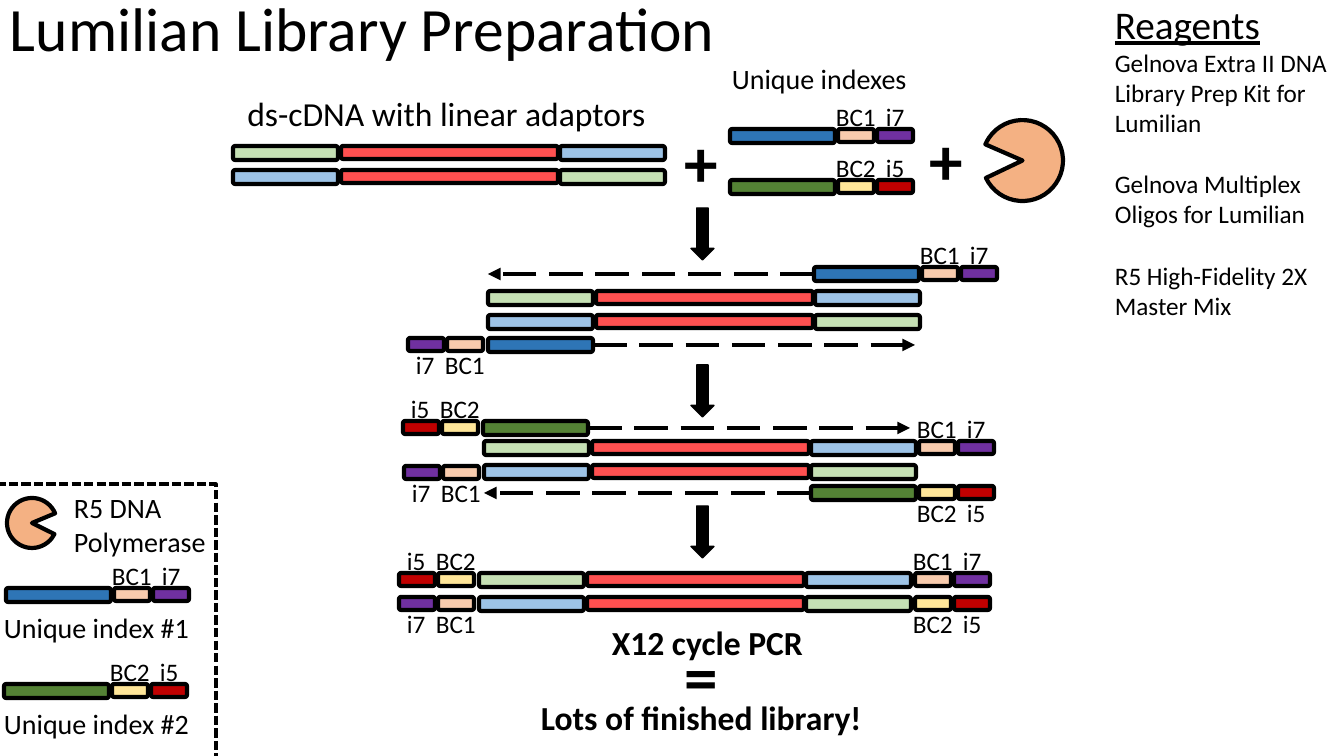
from pptx import Presentation
from pptx.dml.color import RGBColor
from pptx.enum.dml import MSO_LINE_DASH_STYLE as Dash
from pptx.enum.shapes import MSO_CONNECTOR as Link, MSO_SHAPE as Shape
from pptx.enum.text import MSO_AUTO_SIZE as Fit, PP_ALIGN as Align
from pptx.oxml.ns import qn
from pptx.util import Pt
from lxml.etree import SubElement

# Content: lengths in px, 1344 to the slide width
SCALE = 12192000 / 1344
FONT = "Calibri"
COLORS = {
    "black": "000000", "insert": "FF5050", "mint": "C5E0B4", "sky": "9DC3E6",
    "blue": "2E75B6", "peach": "F8CBAD", "purple": "7030A0",
    "green": "548235", "cream": "FFE699", "red": "C00000", "enzyme": "F4B183",
}

# left, top of each double strand
DUPLEXES = [(233, 146), (488, 291), (484, 441), (479, 573)]

# name, fill of primer, barcode and index
KINDS = {
    1: ("BC1", "i7", "blue", "peach", "purple"),
    2: ("BC2", "i5", "green", "cream", "red"),
}

# primer left, top, kind, flipped, labels below, primer drawn, new strand end
TAGS = [
    (730, 129, 1, False, False, True, None),
    (730, 180, 2, False, False, True, None),
    (814, 267, 1, False, False, True, 488),
    (488, 338, 1, True, True, True, 915),
    (483, 421, 2, True, False, True, 910),
    (811, 486, 2, False, True, True, 484),
    (484, 466, 1, True, True, False, None),
    (811, 441, 1, False, False, False, None),
    (479, 573, 2, True, False, False, None),
    (807, 573, 1, False, False, False, None),
    (479, 597, 1, True, True, False, None),
    (807, 597, 2, False, True, False, None),
    (6, 588, 1, False, False, True, None),
    (4, 684, 2, False, False, True, None),
]

# left, top, size, rotation
ENZYMES = [(982, 120, 81, 244.5), (7, 498, 50, 67.3)]
ARROW_TOPS = [208, 365, 506]

# lines, box, size, bold
NOTES = [
    ("+", (675, 115, 54, 92), 48, True),
    ("+", (920, 113, 54, 92), 48, True),
    ("=", (675, 629, 54, 92), 48, True),
    ("X12 cycle PCR", (602, 617, 213, 50), 24, True),
    ("Lots of finished library!", (531, 692, 345, 50), 24, True),
    ("R5 DNA\nPolymerase", (64, 486, 153, 78), 20, False),
    ("Unique index #1", (-6, 606, 207, 44), 20, False),
    ("Unique index #2", (-6, 702, 207, 44), 20, False),
    ("Unique indexes", (722, 57, 197, 44), 20, False),
]
REAGENTS = [
    "Reagents",
    "Gelnova Extra II DNA Library Prep Kit for Lumilian",
    "Gelnova Multiplex Oligos for Lumilian",
    "R5 High-Fidelity 2X Master Mix",
]

prs = Presentation()
prs.slide_width, prs.slide_height = 12192000, 6858000
slide = prs.slides.add_slide(prs.slide_layouts[6])
shapes = slide.shapes


def emu(*vals):
    return [round(v * SCALE) for v in vals]


def rgb(name):
    return RGBColor.from_string(COLORS[name])


def draw(kind, box, fill=None, width=3):
    shape = shapes.add_shape(kind, *emu(*box))
    shape.shadow.inherit = False
    if fill:
        shape.fill.solid()
        shape.fill.fore_color.rgb = rgb(fill)
    else:
        shape.fill.background()
    shape.line.color.rgb = rgb("black")
    shape.line.width = Pt(width)
    return shape


def bar(x, y, w, h, fill):
    return draw(Shape.ROUNDED_RECTANGLE, (x, y, w, h), fill)


def write(text, box, size, bold=False, wrap=False):
    frame = shapes.add_textbox(*emu(*box)).text_frame
    frame.text = text
    frame.word_wrap = wrap
    frame.auto_size = Fit.NONE if wrap else Fit.SHAPE_TO_FIT_TEXT
    for para in frame.paragraphs:
        for run in para.runs:
            run.font.name = FONT
            run.font.size = Pt(size)
            run.font.bold = bold
            run.font.color.rgb = rgb("black")
    return frame.paragraphs


def strand(primer, flip, end):
    y = primer.top + primer.height // 2
    line = shapes.add_connector(Link.STRAIGHT, primer.left, y, *emu(end), y)
    line.begin_connect(primer, 3 if flip else 1)
    line.line.color.rgb = rgb("black")
    line.line.width = Pt(3)
    line.line.dash_style = Dash.LONG_DASH
    SubElement(line.line._get_or_add_ln(), qn("a:tailEnd"), type="triangle")
    SubElement(line._element.spPr, qn("a:effectLst"))


# Double strands: the lower row swaps the adaptor colours
for x, y in DUPLEXES:
    for row, (left, right) in enumerate([("mint", "sky"), ("sky", "mint")]):
        top = y + 24 * row
        bar(x + 108, top, 217, 13, "insert")
        bar(x, top, 105, 14, left)
        bar(x + 327, top, 105, 14, right)

# Primers with barcode and index
for x, y, kind, flip, below, full, end in TAGS:
    code, index, base, mid, tip = KINDS[kind]
    if full:
        primer = bar(x, y, 105, 14, base)
        if end is not None:
            strand(primer, flip, end)
    bar(x + (-41 if flip else 108), y, 36, 13, mid)
    bar(x + (-80 if flip else 147), y, 36, 13, tip)
    top = y + (6 if below else -33)
    write(code, (x + (-53 if flip else 96), top, 60, 40), 18)
    write(index, (x + (-82 if flip else 146), top, 39, 40), 18)

# Enzymes and step arrows
for x, y, size, turn in ENZYMES:
    pie = draw(Shape.PIE, (x, y, size, size), "enzyme")
    pie.adjustments[0], pie.adjustments[1] = 191.45, 162
    pie.rotation = turn
for top in ARROW_TOPS:
    draw(Shape.DOWN_ARROW, (691, top, 23, 52), "black", 1)

# Legend frame
frame = draw(Shape.RECTANGLE, (-5, 484, 221, 277), None, 2.25)
frame.line.dash_style = Dash.SQUARE_DOT

# Title, caption and notes
title = write("Lumilian Library Preparation", (0, -7, 1159, 146), 44, wrap=True)
title[0].line_spacing = 0.9
caption = write("ds-cDNA with linear adaptors", (213, 88, 467, 50), 24, wrap=True)
caption[0].alignment = Align.CENTER
for text, box, size, bold in NOTES:
    write(text, box, size, bold)

# Reagent list
head, *items = write("\n".join(REAGENTS), (1105, -5, 242, 333), 18, wrap=True)
head.runs[0].font.size = Pt(28)
head.runs[0].font.underline = True
for item in items[1:]:
    item.space_before = Pt(22)

prs.save("out.pptx")
